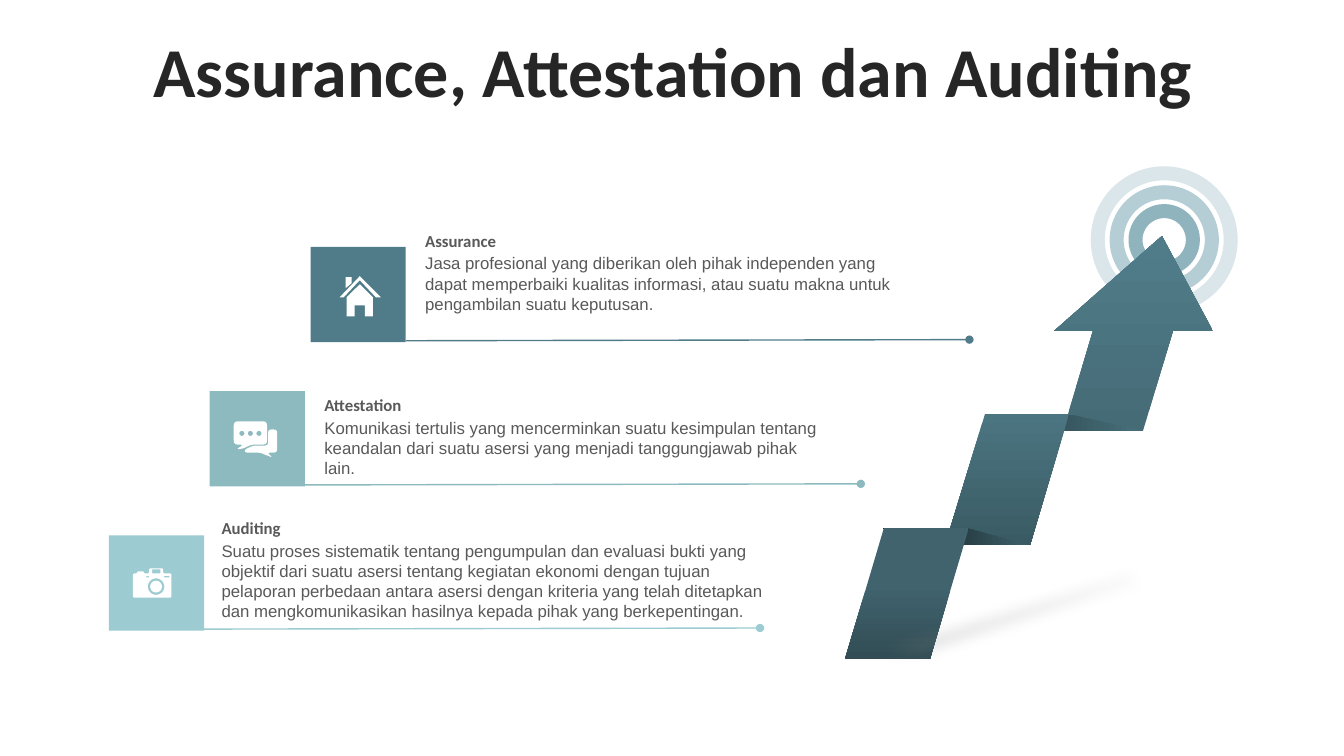
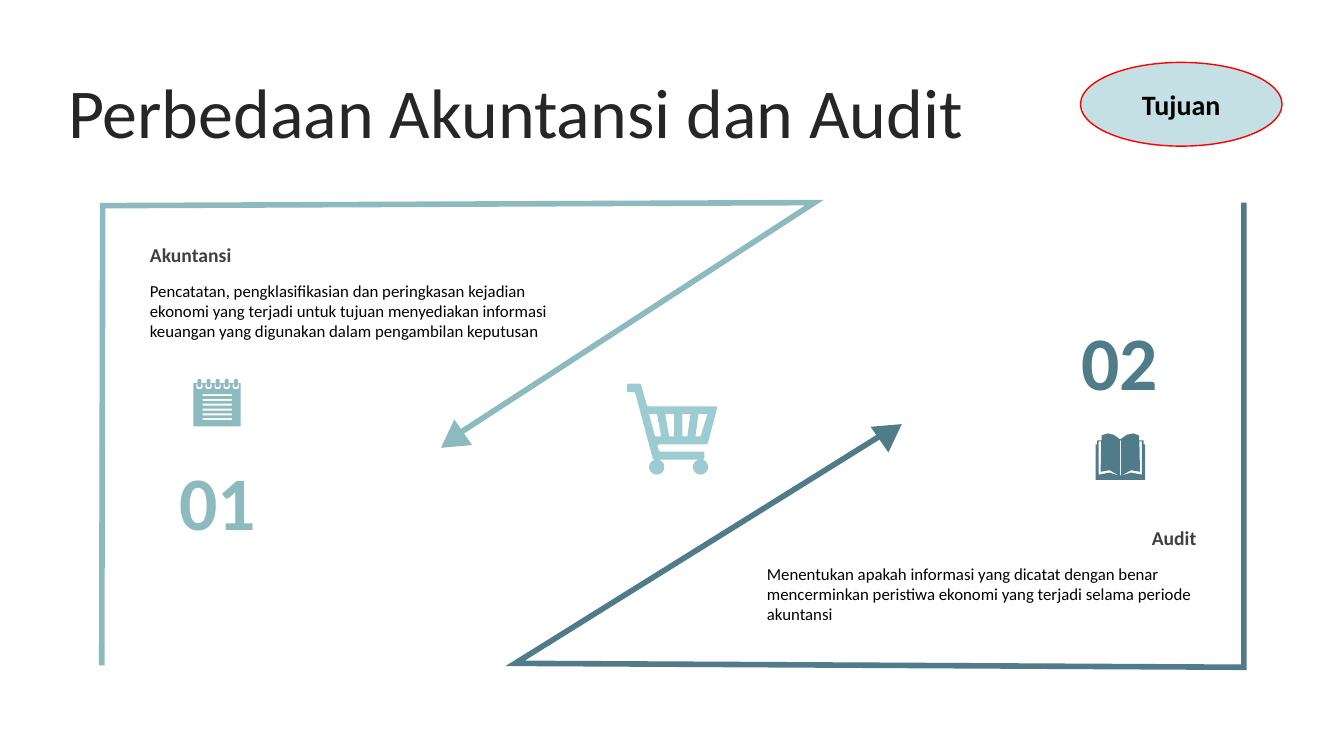
"""Build two audit slides: a stepped arrow of services and a comparison of purposes."""
from dataclasses import dataclass
from math import cos, hypot, pi, sin

from lxml.etree import SubElement
from pptx import Presentation
from pptx.dml.color import RGBColor
from pptx.enum.shapes import MSO_CONNECTOR, MSO_SHAPE
from pptx.enum.text import MSO_ANCHOR, PP_ALIGN
from pptx.oxml.ns import qn
from pptx.util import Pt

Point = tuple[float, float]
Contour = list[Point]


@dataclass(frozen=True)
class Theme:
    deep: str = "507C89"
    mid: str = "8CBABE"
    light: str = "9CCCD2"
    white: str = "FFFFFF"
    black: str = "000000"
    title: str = "262626"
    heading: str = "404040"
    grey: str = "595959"
    shade: str = "808080"
    badge: str = "C4E0E4"
    badge_edge: str = "FF0000"
    rings: tuple[str, ...] = ("DAE6E9", "B5CDD4", "90B4BE")
    display_font: str = "Calibri"
    body_font: str = "Arial"
    title_size: float = 50
    number_size: float = 54
    badge_size: float = 20
    heading_size: float = 14
    body_size: float = 12


THEME = Theme()


@dataclass(frozen=True)
class Style:
    size: float
    color: str
    bold: bool = False
    font: str = THEME.display_font
    align: PP_ALIGN = PP_ALIGN.LEFT


@dataclass(frozen=True)
class Service:
    name: str
    detail: str
    color: str
    text_left: float
    text_top: float
    text_width: float
    line_left: float
    icon: list[Contour]
    icon_at: Point


@dataclass(frozen=True)
class Fold:
    outline: Contour
    start: str
    end: str
    angle: float
    start_at: float = 0


@dataclass(frozen=True)
class Purpose:
    number: str
    name: str
    detail: str
    color: str
    align: PP_ALIGN
    text_at: Point
    number_at: Point
    bracket: Contour
    head_at: Point
    head_turn: float
    icon: list[Contour]
    icon_at: Point


def rect(x: float, y: float, w: float, h: float) -> Contour:
    return [(x, y), (x + w, y), (x + w, y + h), (x, y + h)]


def disc(x: float, y: float, radius: float, steps: int = 28) -> Contour:
    return [(x + radius * cos(2 * pi * i / steps), y + radius * sin(2 * pi * i / steps)) for i in range(steps)]


def rounded(corners: Contour, radius: float, steps: int = 5) -> Contour:
    """Soften every corner with a short quadratic curve."""
    points: Contour = []
    for i, (x, y) in enumerate(corners):
        ends = []
        for nx, ny in (corners[i - 1], corners[(i + 1) % len(corners)]):
            length = hypot(nx - x, ny - y)
            cut = min(radius, length / 2) / length
            ends.append((x + (nx - x) * cut, y + (ny - y) * cut))
        (ax, ay), (bx, by) = ends
        for t in (step / steps for step in range(steps + 1)):
            a, c, b = (1 - t) ** 2, 2 * t * (1 - t), t * t
            points.append((a * ax + c * x + b * bx, a * ay + c * y + b * by))
    return points


HOUSE = [
    [(14.4, 5.8), (23.8, 15.1), (23.8, 28.8), (18, 28.8)]
    + rounded([(18, 20.9), (10.8, 20.9)], 0) + [(10.8, 28.8), (5, 28.8), (5, 15.1)],
    [(4.3, 0.7), (8.6, 0.7), (8.6, 5), (4.3, 8.6)],
    [(14.4, 0), (29.5, 15.1), (25.9, 15.1), (14.4, 2.9), (2.9, 15.1), (0, 15.1)],
]
CHAT = [
    rounded([(0, 0), (23.8, 0), (23.8, 16.6), (12.2, 16.6), (7, 19.4), (1.4, 20.2), (7.2, 16.6), (0, 16.6)], 3),
    rounded([(24.5, 5.8), (31, 5.8), (31, 22.3), (23.8, 22.3), (28, 26), (18.7, 22.3),
             (7.9, 22.3), (7.9, 20.2), (13.7, 17.3), (24.5, 17.3)], 2.5),
    *(disc(x, 8.6, 1.8) for x in (5.8, 11.9, 18)),
]
CAMERA = [
    rounded([(0, 3.6), (2.9, 3.6), (2.9, 2.2), (7.9, 2.2), (7.9, 3.6), (11.5, 3.6), (11.5, 0),
             (21.6, 0), (21.6, 3.6), (27.4, 3.6), (27.4, 20.9), (0, 20.9)], 1.2),
    rect(13.7, 0.7, 5.8, 2.9), rect(9.4, 5.6, 2.2, 0.9), rect(22.3, 5.3, 3.6, 1.2),
    disc(16.5, 13, 5.9), disc(16.5, 13, 4.2),
]
CART = [
    rounded([(0, 0.5), (10, 0.5), (14.4, 16.6), (64.8, 16.6), (57.6, 43.9), (21.6, 43.9),
             (23, 49), (55.4, 49), (55.4, 54.7), (18.7, 54.7), (5.8, 6.5), (0, 6.5)], 1.5),
    *([(a, 22.3), (b, 38.2), (c, 38.2), (d, 22.3)] for a, b, c, d in (
        (21.6, 24.5, 20.2, 15.8), (33.8, 33.8, 30.2, 27.4),
        (45.4, 43.2, 39.6, 39.6), (57.6, 52.6, 49, 51.1))),
    *(disc(x, 60, 5.4) for x in (21.3, 52.6)),
]
NOTEPAD = [
    rect(0, 2.9, 33.8, 31),
    *(rect(6.5, 10.8 + 3.45 * i, 20.9, 1.4) for i in range(6)),
    *(rounded(rect(2.1 + 6.5 * i, 2.9, 4.4, 4.3), 1.5) for i in range(5)),
    *(rounded(rect(2.9 + 6.5 * i, 0, 2.8, 5.8), 1.4) for i in range(5)),
]
PAGE_GAP = [(2.2, 5.8), (4, 5.8), (3.6, 27.4), (10, 26.3), (17, 30.2), (10, 28), (2.2, 29.5)]
BOOK_HALF = [(0, 33.1), (0, 7.9), (1, 7.9), (1, 5), (4.3, 5), (4.3, 1.4), (8.6, 0), (13, 1), (17.65, 4.3)]


def mirrored(points: Contour) -> Contour:
    return [(35.3 - x, y) for x, y in reversed(points)]


BOOK = [BOOK_HALF + mirrored(BOOK_HALF), PAGE_GAP, mirrored(PAGE_GAP), rect(17.3, 5, 0.7, 25)]

SERVICES = [
    Service("Assurance", "Jasa profesional yang diberikan oleh pihak independen yang dapat memperbaiki kualitas "
            "informasi, atau suatu makna untuk pengambilan suatu keputusan.",
            THEME.deep, 296.6, 161.3, 367, 290, HOUSE, (242.6, 197.3)),
    Service("Attestation", "Komunikasi tertulis yang mencerminkan suatu kesimpulan tentang keandalan dari suatu "
            "asersi yang menjadi tanggungjawab pihak lain.",
            THEME.mid, 224.6, 278.6, 367, 212.4, CHAT, (167, 301)),
    Service("Auditing", "Suatu proses sistematik tentang pengumpulan dan evaluasi bukti yang objektif dari suatu "
            "asersi tentang kegiatan ekonomi dengan tujuan pelaporan perbedaan antara asersi dengan kriteria yang "
            "telah ditetapkan dan mengkomunikasikan hasilnya kepada pihak yang berkepentingan.",
            THEME.light, 151.2, 366.5, 407, 140.4, CAMERA, (95, 406)),
]
FOLDS = [
    Fold([(830, 168.6), (866.4, 236.4), (837.9, 236.4), (816.4, 307.9), (759.3, 307.9), (780.7, 236.4),
          (752.9, 236.4)], "456B76", "507C89", 90),
    Fold([(816.4, 307.9), (765, 296.4), (704.3, 296.4), (740.7, 307.9)], "48707B", "263C42", 180),
    Fold([(703.6, 295.7), (763.6, 295.7), (735.7, 389.6), (675, 389.6)], "4B7581", "3A5B64", 270),
    Fold([(735.7, 389.6), (692, 377.8), (631, 377.3), (664, 389)], "3E616B", "0E1517", 180),
    Fold([(631.4, 377.1), (692, 377.1), (664.3, 470.7), (603.6, 470.7)], "40636E", "324D55", 270, 0.44),
]
PURPOSES = [
    Purpose("01", "Akuntansi", "Pencatatan, pengklasifikasian dan peringkasan kejadian ekonomi yang terjadi untuk "
            "tujuan menyediakan informasi keuangan yang digunakan dalam pengambilan keputusan",
            THEME.mid, PP_ALIGN.LEFT, (100, 169.8), (111.6, 321),
            [(72.7, 475.2), (73.4, 146.9), (581.8, 144.7), (329, 308.9)], (311.8, 304.6), 235.2,
            NOTEPAD, (138.2, 270.7)),
    Purpose("02", "Audit", "Menentukan apakah informasi yang dicatat dengan benar mencerminkan peristiwa ekonomi "
            "yang terjadi selama periode akuntansi",
            THEME.deep, PP_ALIGN.RIGHT, (540.7, 371.8), (756, 221),
            [(888.5, 144.7), (888.5, 476.6), (368, 473.8), (629.3, 311)], (625, 298.8), 55.2,
            BOOK, (782.6, 309.6)),
]


def rgb(color: str) -> RGBColor:
    return RGBColor.from_string(color)


def paint(shape, fill: str | None, line: str | None = None, width: float = 1) -> None:
    shape.shadow.inherit = False
    if fill:
        shape.fill.solid()
        shape.fill.fore_color.rgb = rgb(fill)
    else:
        shape.fill.background()
    if line:
        shape.line.color.rgb = rgb(line)
        shape.line.width = Pt(width)
    else:
        shape.line.fill.background()


def preset(slide, kind, x: float, y: float, w: float, h: float, fill, line=None, width: float = 1):
    shape = slide.shapes.add_shape(kind, Pt(x), Pt(y), Pt(w), Pt(h))
    paint(shape, fill, line, width)
    return shape


def outline(slide, contours: list[Contour], at: Point = (0, 0), close: bool = True):
    """Draw contours as one freeform; nested contours become holes."""
    moved = [[(Pt(x + at[0]), Pt(y + at[1])) for x, y in contour] for contour in contours]
    builder = slide.shapes.build_freeform(*moved[0][0], scale=1.0)
    for i, contour in enumerate(moved):
        if i:
            builder.move_to(*contour[0])
        builder.add_line_segments(contour[1:], close=close)
    return builder.convert_to_shape()


def icon(slide, contours: list[Contour], at: Point, color: str) -> None:
    paint(outline(slide, contours, at), color)


def write(frame, words: str, style: Style, anchor=MSO_ANCHOR.TOP):
    frame.word_wrap = True
    frame.vertical_anchor = anchor
    paragraph = frame.paragraphs[0]
    paragraph.text = words
    paragraph.alignment = style.align
    paragraph.font.name = style.font
    paragraph.font.size = Pt(style.size)
    paragraph.font.bold = style.bold
    paragraph.font.color.rgb = rgb(style.color)
    return paragraph


def label(slide, x: float, y: float, w: float, h: float, words: str, style: Style, anchor=MSO_ANCHOR.TOP):
    return write(slide.shapes.add_textbox(Pt(x), Pt(y), Pt(w), Pt(h)).text_frame, words, style, anchor)


def add_title(slide, words: str, top: float, width: float, bold: bool) -> None:
    style = Style(THEME.title_size, THEME.title, bold, align=PP_ALIGN.CENTER)
    label(slide, 25, top, width, 57, words, style, MSO_ANCHOR.MIDDLE).line_spacing = 0.8


def add_service(slide, service: Service, row: int) -> None:
    left, top = 221.8 - 72 * row, 176.4 + 103 * row
    rule = slide.shapes.add_connector(MSO_CONNECTOR.STRAIGHT, Pt(service.line_left), Pt(top + 67),
                                      Pt(service.line_left + 402.5), Pt(top + 66.2))
    rule.line.color.rgb = rgb(service.color)
    rule.line.width = Pt(1)
    properties = rule._element.spPr
    SubElement(properties.find(qn("a:ln")), qn("a:tailEnd"), type="oval")
    SubElement(properties, qn("a:effectLst"))
    x, y, width = service.text_left, service.text_top, service.text_width
    label(slide, x, y + 16, width, 51, service.detail, Style(THEME.body_size, THEME.grey, font=THEME.body_font))
    label(slide, x, y, width, 21.6, service.name, Style(THEME.body_size, THEME.grey, True))
    preset(slide, MSO_SHAPE.RECTANGLE, left, top, 68, 68, service.color)
    icon(slide, service.icon, service.icon_at, THEME.white)


def add_fold(slide, fold: Fold) -> None:
    shape = outline(slide, [fold.outline])
    paint(shape, None)
    shape.fill.gradient()
    shape.fill.gradient_angle = fold.angle
    stops = shape.fill.gradient_stops
    for stop, color, position in zip(stops, (fold.start, fold.end), (fold.start_at, 0.99)):
        stop.color.rgb = rgb(color)
        stop.position = position


def add_cast_shadow(slide) -> None:
    shape = outline(slide, [[(563, 470.9), (666, 475.2), (904.3, 395.3), (795.6, 403.9)]])
    paint(shape, THEME.shade)
    properties = shape._element.spPr
    SubElement(properties.find(".//" + qn("a:srgbClr")), qn("a:alpha"), val="25000")
    SubElement(properties.find(qn("a:effectLst")), qn("a:softEdge"), rad=str(Pt(10)))


def add_purpose(slide, purpose: Purpose) -> None:
    bracket = outline(slide, [purpose.bracket], close=False)
    paint(bracket, None, purpose.color, 4)
    SubElement(bracket._element.spPr.find(qn("a:ln")), qn("a:miter"), lim="800000")
    head = preset(slide, MSO_SHAPE.ISOSCELES_TRIANGLE, *purpose.head_at, 22.3, 19.4, purpose.color)
    head.rotation = purpose.head_turn
    label(slide, *purpose.number_at, 88, 73, purpose.number,
          Style(THEME.number_size, purpose.color, True, align=PP_ALIGN.CENTER), MSO_ANCHOR.MIDDLE)
    x, y = purpose.text_at
    label(slide, x, y + 27, 321, 51, purpose.detail, Style(THEME.body_size, THEME.black))
    label(slide, x, y, 321, 24.5, purpose.name, Style(THEME.heading_size, THEME.heading, True, align=purpose.align))
    icon(slide, purpose.icon, purpose.icon_at, purpose.color)


def build_services(slide) -> None:
    add_title(slide, "Assurance, Attestation dan Auditing", 27, 912, True)
    for i, color in enumerate(THEME.rings):
        size = 95 - 27 * i
        preset(slide, MSO_SHAPE.OVAL, 831.6 - size / 2, 171.3 - size / 2, size, size, None, color, 10)
    for fold in FOLDS:
        add_fold(slide, fold)
    for row, service in enumerate(SERVICES):
        add_service(slide, service, row)
    add_cast_shadow(slide)


def build_purposes(slide) -> None:
    add_title(slide, "Perbedaan Akuntansi dan Audit", 56, 687, False)
    for purpose in PURPOSES:
        add_purpose(slide, purpose)
    icon(slide, CART, (447.8, 273.6), THEME.light)
    badge = preset(slide, MSO_SHAPE.OVAL, 771.8, 44.6, 144, 59.8, THEME.badge, THEME.badge_edge)
    write(badge.text_frame, "Tujuan", Style(THEME.badge_size, THEME.black, True, align=PP_ALIGN.CENTER),
          MSO_ANCHOR.MIDDLE)


def main() -> None:
    deck = Presentation()
    deck.slide_width, deck.slide_height = Pt(960), Pt(540)
    for build in (build_services, build_purposes):
        build(deck.slides.add_slide(deck.slide_layouts[6]))
    deck.save("out.pptx")


if __name__ == "__main__":
    main()
